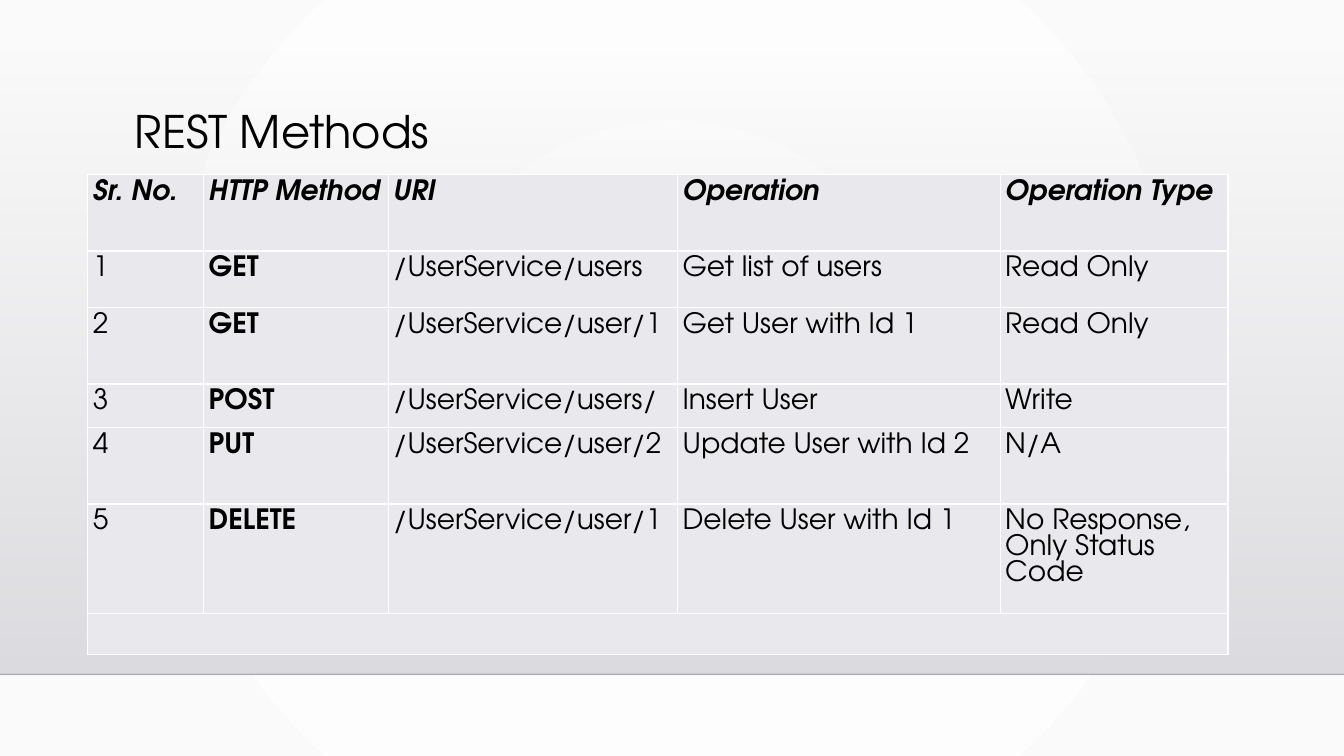
from lxml import etree
from pptx import Presentation
from pptx.dml.color import RGBColor
from pptx.enum.shapes import MSO_CONNECTOR as CONN, MSO_SHAPE as SHAPE
from pptx.enum.text import MSO_ANCHOR as ANCHOR
from pptx.oxml import parse_xml
from pptx.oxml.ns import nsdecls, qn
from pptx.util import Inches, Pt

FONT = "TeX Gyre Adventor"
BLACK = RGBColor(0x00, 0x00, 0x00)
RULE = RGBColor(0x00, 0x00, 0x01)
WHITE = RGBColor(0xFF, 0xFF, 0xFF)
PAPER = RGBColor(0xFA, 0xFA, 0xFA)
HAZE = RGBColor(0xDC, 0xDC, 0xE0)
FLOOR = RGBColor(0xDE, 0xDE, 0xE2)
CELL = RGBColor(0xE9, 0xE9, 0xED)

COLUMNS = [1.15, 1.83, 2.87, 3.2, 2.26]
HEIGHTS = [0.76, 0.56, 0.76, 0.43, 0.76, 1.09, 0.36]
METHODS = [
    ["Sr. No.", "HTTP Method", "URI", "Operation", "Operation Type"],
    ["1", "GET", "/UserService/users", "Get list of users", "Read Only"],
    ["2", "GET", "/UserService/user/1", "Get User with Id 1", "Read Only"],
    ["3", "POST", "/UserService/users/", "Insert User", "Write"],
    ["4", "PUT", "/UserService/user/2", "Update User with Id 2", "N/A"],
    ["5", "DELETE", "/UserService/user/1", "Delete User with Id 1",
     "No Response, Only Status Code"],
]

RADIAL = ('<a:path path="circle"><a:fillToRect l="50000" t="50000" '
          'r="50000" b="50000"/></a:path>')
DOWNWARD = '<a:lin ang="5400000" scaled="0"/>'


def set_gradient(fill, owner, stops, direction):
    """Fill with (position, colour, opacity) stops, all in percent."""
    fill.gradient()
    old = owner.find(".//" + qn("a:gradFill"))
    marks = "".join(
        f'<a:gs pos="{pos * 1000}"><a:srgbClr val="{color}">'
        f'<a:alpha val="{alpha * 1000}"/></a:srgbClr></a:gs>'
        for pos, color, alpha in stops)
    old.getparent().replace(old, parse_xml(
        f'<a:gradFill {nsdecls("a")} rotWithShape="1">'
        f'<a:gsLst>{marks}</a:gsLst>{direction}</a:gradFill>'))


def style_font(font, size, bold=False, italic=False):
    font.name, font.size = FONT, Pt(size)
    font.bold, font.italic = bold, italic
    font.color.rgb = BLACK


def add_backdrop(s, width, top, height):
    set_gradient(s.background.fill, s._element,
                 [(0, WHITE, 100), (100, PAPER, 100)], RADIAL)
    # Wall fading in towards the floor
    wall = s.shapes.add_shape(SHAPE.RECTANGLE, 0, top, width, height)
    wall.shadow.inherit = False
    wall.line.fill.background()
    set_gradient(wall.fill, wall._element,
                 [(0, HAZE, 0), (100, FLOOR, 100)], DOWNWARD)
    # Floor line
    edge = top + height
    rule = s.shapes.add_connector(CONN.STRAIGHT, 0, edge, width, edge)
    rule.line.color.rgb = RULE
    rule.line.width = Pt(1)
    color = rule._element.spPr.find(".//" + qn("a:srgbClr"))
    etree.SubElement(color, qn("a:alpha")).set("val", "20000")
    etree.SubElement(rule._element.spPr, qn("a:effectLst"))


def add_title(s, text, left, top, width, height):
    tf = s.shapes.add_textbox(left, top, width, height).text_frame
    tf.word_wrap = True
    tf.vertical_anchor = ANCHOR.TOP
    p = tf.paragraphs[0]
    p.text = text
    p.line_spacing = 0.9
    style_font(p.runs[0].font, 32)


def add_borders(cell):
    tcPr = cell._tc.get_or_add_tcPr()
    for i, side in enumerate(("lnL", "lnR", "lnT", "lnB")):
        tcPr.insert(i, parse_xml(
            f'<a:{side} {nsdecls("a")} w="12700"><a:solidFill>'
            f'<a:srgbClr val="{WHITE}"/></a:solidFill></a:{side}>'))


def add_methods_table(s, left, top):
    table = s.shapes.add_table(
        len(HEIGHTS), len(COLUMNS), left, top,
        Inches(sum(COLUMNS)), Inches(sum(HEIGHTS))).table
    table.first_row = table.horz_banding = False
    for column, width in zip(table.columns, COLUMNS):
        column.width = Inches(width)
    for row, height in zip(table.rows, HEIGHTS):
        row.height = Inches(height)
    for cell in table.iter_cells():
        cell.margin_left = cell.margin_right = Inches(0.05)
        cell.margin_top = cell.margin_bottom = Inches(0.05)
        cell.fill.solid()
        cell.fill.fore_color.rgb = CELL
        cell.text_frame.paragraphs[0].line_spacing = Pt(18.6)
        add_borders(cell)
    for i, texts in enumerate(METHODS):
        for j, text in enumerate(texts):
            p = table.cell(i, j).text_frame.paragraphs[0]
            p.text = text
            style_font(p.runs[0].font, 20, bold=i == 0 or j == 1,
                       italic=i == 0)
    # Empty closing row
    last = len(HEIGHTS) - 1
    table.cell(last, 0).merge(table.cell(last, len(COLUMNS) - 1))


def main():
    prs = Presentation()
    prs.slide_width, prs.slide_height = Inches(13.33), Inches(7.5)
    s = prs.slides.add_slide(prs.slide_layouts[6])
    add_backdrop(s, prs.slide_width, Inches(0.51), Inches(6.18))
    add_title(s, "REST Methods", Inches(1.24), Inches(1.04),
              Inches(10.5), Inches(1.15))
    add_methods_table(s, Inches(0.87), Inches(1.73))
    prs.save("out.pptx")


if __name__ == "__main__":
    main()
